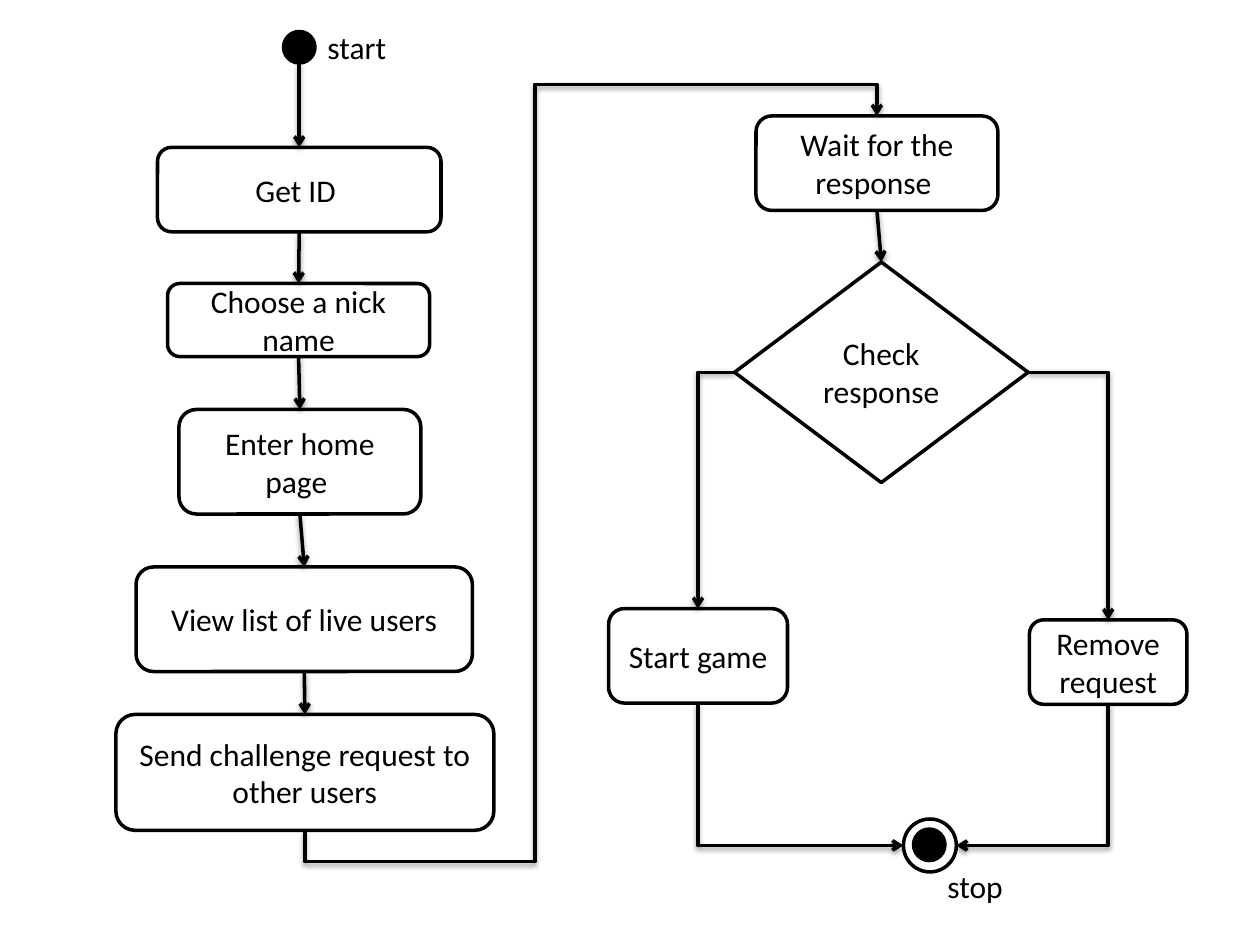
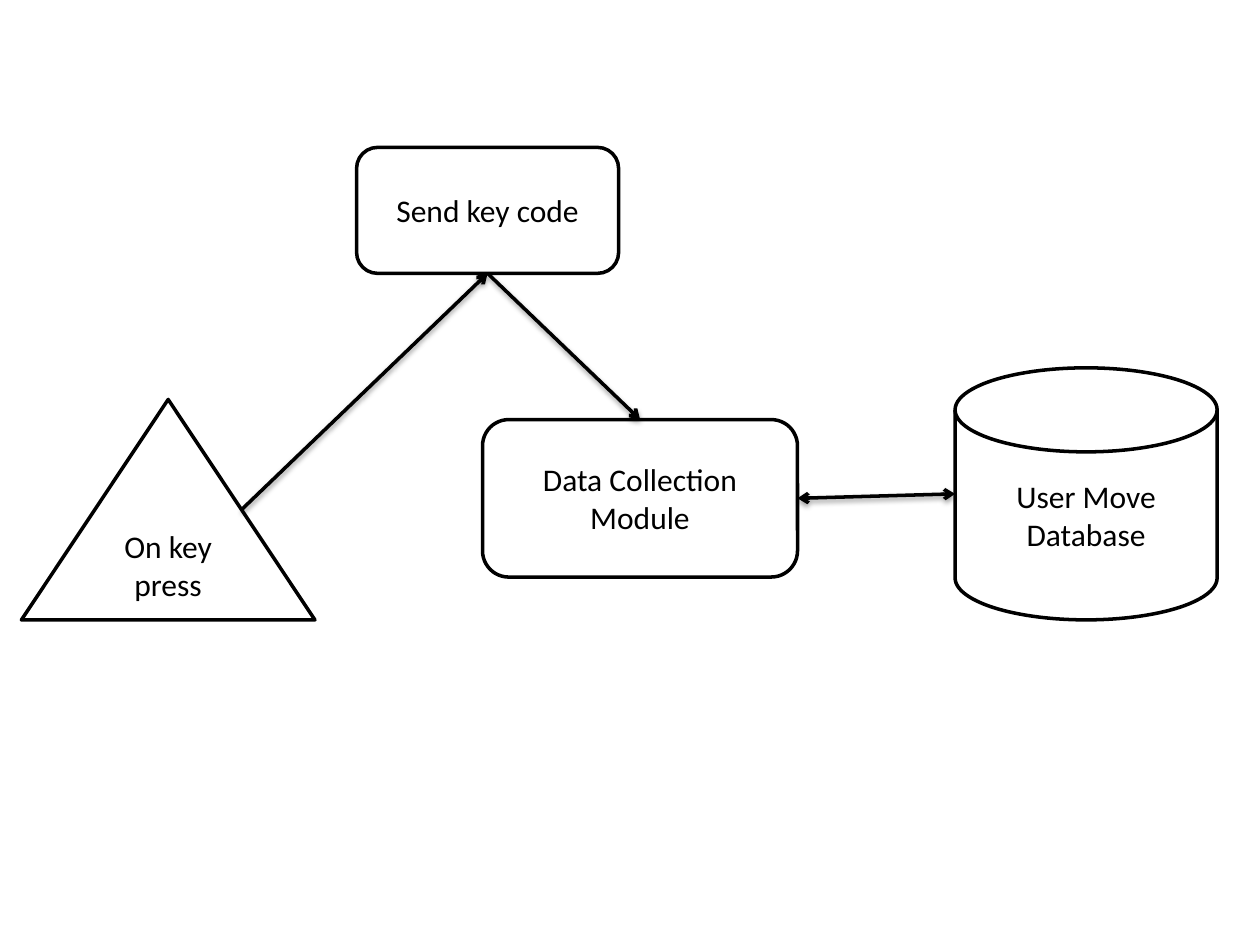
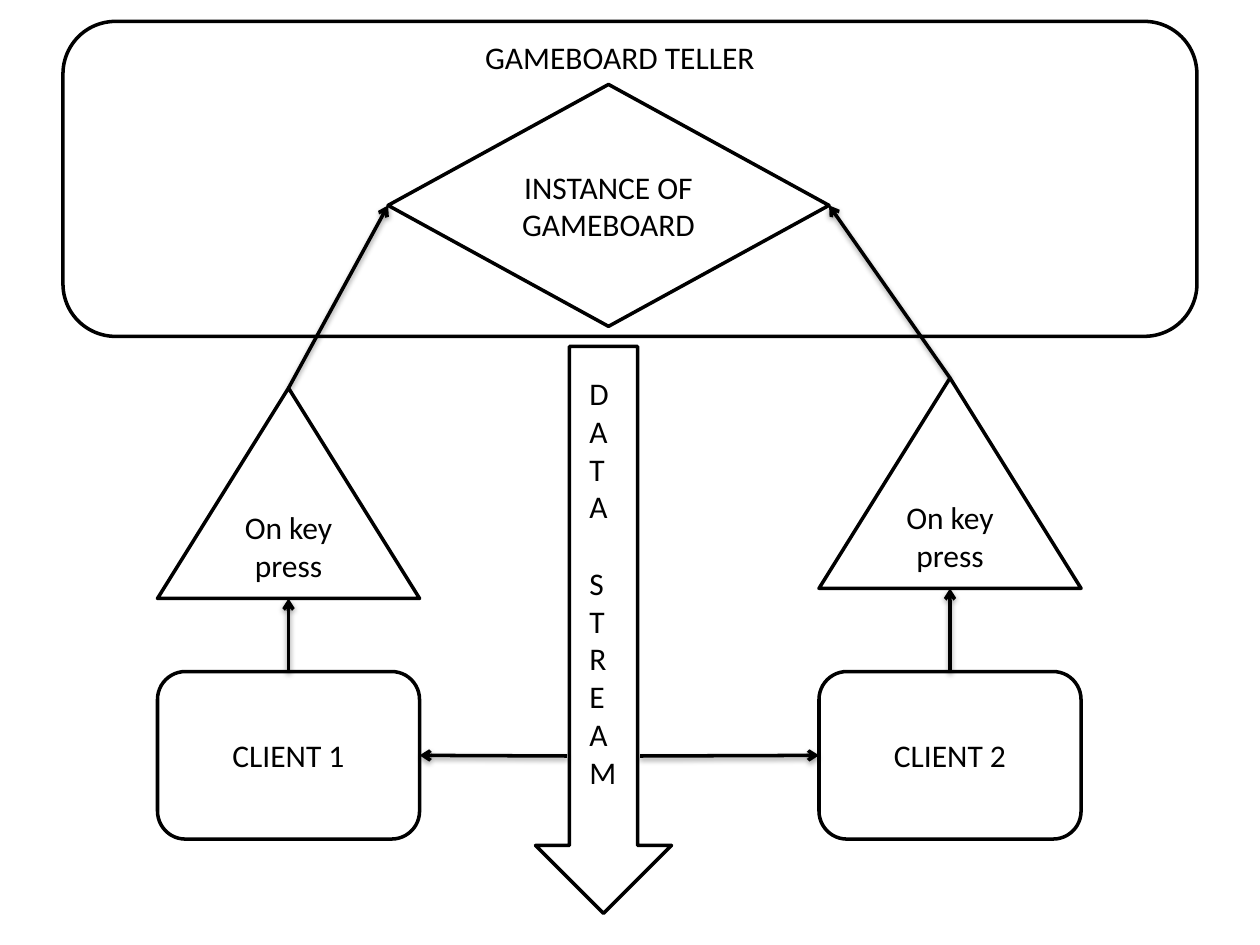
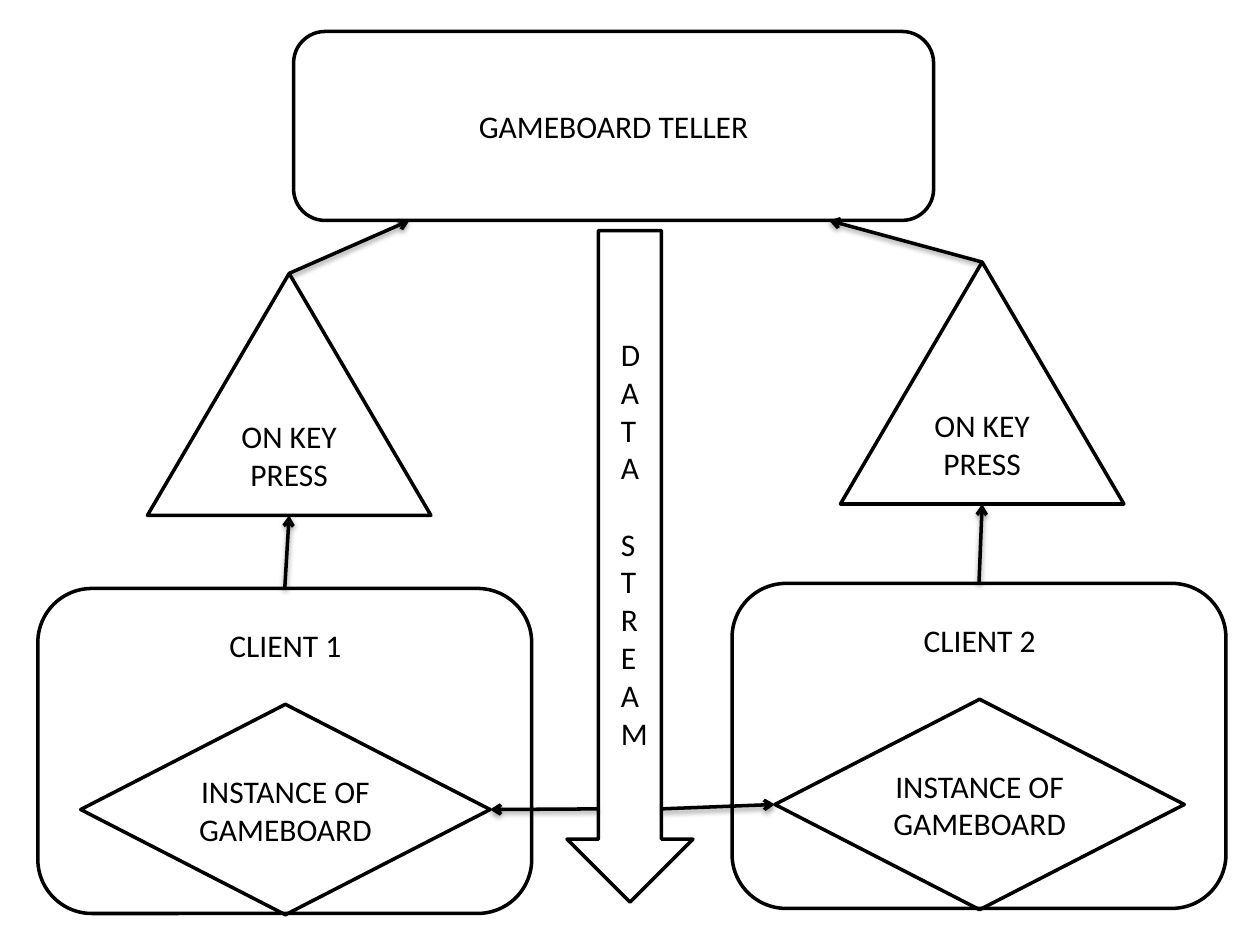
from dataclasses import dataclass
from lxml.etree import SubElement as Sub
from pptx import Presentation
from pptx.dml.color import RGBColor as Rgb
from pptx.enum.shapes import MSO_CONNECTOR as Conn, MSO_SHAPE as Kind
from pptx.enum.text import MSO_ANCHOR as Anchor, MSO_AUTO_SIZE as Fit, PP_ALIGN as Align
from pptx.oxml.ns import qn
from pptx.util import Inches, Pt


@dataclass(frozen=True)
class Theme:
    ink: Rgb = Rgb(0, 0, 0)
    paper: Rgb = Rgb(255, 255, 255)
    font: str = "Calibri"
    size: Pt = Pt(18)
    width: Pt = Pt(2)
    gap: Pt = Pt(22)
    blur: Pt = Pt(3.1)
    drop: Pt = Pt(1.6)
    shade: int = 38000


TOP, LEFT, BOTTOM, RIGHT = (0.5, 0), (0, 0.5), (0.5, 1), (1, 0.5)
SLOPE = (0.75, 0.5)
BOX, TIP, GEM = Kind.ROUNDED_RECTANGLE, Kind.ISOSCELES_TRIANGLE, Kind.DIAMOND


def point(x, y):
    return Inches(x), Inches(y)


def spot(shape, side):
    x, y = side
    return int(shape.left + x * shape.width), int(shape.top + y * shape.height)


def write(frame, lines, theme, align=Align.CENTER, anchor=Anchor.MIDDLE, fit=Fit.NONE, gaps=()):
    frame.word_wrap = True
    frame.auto_size = fit
    frame.vertical_anchor = anchor
    for i, line in enumerate(lines):
        para = frame.add_paragraph() if i else frame.paragraphs[0]
        para.alignment = align
        if i in gaps:
            para.space_before = theme.gap
        run = para.add_run()
        run.text = line
        run.font.name = theme.font
        run.font.size = theme.size
        run.font.color.rgb = theme.ink


class Deck:
    def __init__(self, theme):
        self.theme = theme
        self.prs = Presentation()
        self.prs.slide_width, self.prs.slide_height = point(10, 7.5)

    def page(self):
        self.slide = self.prs.slides.add_slide(self.prs.slide_layouts[6])
        back = self.slide.background.fill
        back.solid()
        back.fore_color.rgb = self.theme.paper

    def stroke(self, line):
        line.color.rgb = self.theme.ink
        line.width = self.theme.width

    def shape(self, kind, x, y, w, h, text="", solid=False):
        item = self.slide.shapes.add_shape(kind, *point(x, y), *point(w, h))
        item.shadow.inherit = False
        if solid:
            item.fill.solid()
            item.fill.fore_color.rgb = self.theme.ink
        else:
            item.fill.background()
        self.stroke(item.line)
        if text:
            write(item.text_frame, [text], self.theme)
        return item

    def label(self, x, y, w, h, lines, **form):
        item = self.slide.shapes.add_textbox(*point(x, y), *point(w, h))
        write(item.text_frame, lines, self.theme, anchor=Anchor.TOP, fit=Fit.SHAPE_TO_FIT_TEXT, **form)

    def stack(self, x, y, w, h):
        first, last = "DATA STREAM".split()
        self.label(x, y, w, h, first + last, align=Align.LEFT, gaps=[len(first)])

    def finish(self, line, both=False):
        self.stroke(line.line)
        props = line.element.spPr
        edge = props.find(qn("a:ln"))
        for end in ["headEnd", "tailEnd"] if both else ["tailEnd"]:
            Sub(edge, qn(f"a:{end}"), type="arrow")
        cast = Sub(Sub(props, qn("a:effectLst")), qn("a:outerShdw"), blurRad=str(self.theme.blur),
                   dist=str(self.theme.drop), dir="5400000", rotWithShape="0")
        tone = Sub(cast, qn("a:srgbClr"), val=str(self.theme.ink))
        Sub(tone, qn("a:alpha"), val=str(self.theme.shade))

    def link(self, start, end, both=False):
        line = self.slide.shapes.add_connector(Conn.STRAIGHT, *start, *end)
        self.finish(line, both)

    def bend(self, start, end, turn=0, flip="", bends=2, adjust=()):
        (x, y), (u, v) = start, end
        w, h = abs(u - x), abs(v - y)
        if turn % 180:
            w, h = h, w
        left, top = (x + u - w) // 2, (y + v - h) // 2
        line = self.slide.shapes.add_connector(Conn.ELBOW, left, top, left + w, top + h)
        frame = line.element.spPr.find(qn("a:xfrm"))
        frame.set("rot", str(turn * 60000))
        for axis in flip:
            frame.set(f"flip{axis}", "1")
        geom = line.element.spPr.find(qn("a:prstGeom"))
        geom.set("prst", f"bentConnector{bends}")
        for i, part in enumerate(adjust, 1):
            Sub(geom.find(qn("a:avLst")), qn("a:gd"), name=f"adj{i}", fmla=f"val {part}")
        self.finish(line)


def flow(deck):
    deck.page()
    start = deck.shape(Kind.OVAL, 2.25, 0.25, 0.25, 0.25, solid=True)
    deck.label(2.5, 0.17, 1.25, 0.4, ["start"], align=Align.LEFT)
    steps = [start] + [deck.shape(BOX, *step) for step in [
        (1.25, 1.17, 2.25, 0.67, "Get ID "),
        (1.33, 2.25, 2.08, 0.58, "Choose a nick name"),
        (1.42, 3.25, 1.92, 0.83, "Enter home page "),
        (1.08, 4.5, 2.67, 0.83, "View list of live users"),
        (0.92, 5.67, 3, 0.92, "Send challenge request to other users"),
    ]]
    wait = deck.shape(BOX, 6, 0.92, 1.92, 0.75, "Wait for the response ")
    check = deck.shape(GEM, 5.83, 2.08, 2.33, 1.75, "Check response")
    game = deck.shape(BOX, 4.83, 4.83, 1.42, 0.75, "Start game")
    drop = deck.shape(BOX, 8.17, 4.92, 1.25, 0.67, "Remove request")
    stop = deck.shape(Kind.OVAL, 7.17, 6.5, 0.42, 0.42)
    deck.shape(Kind.OVAL, 7.25, 6.58, 0.25, 0.25, solid=True)
    for above, below in zip(steps, steps[1:]):
        deck.link(spot(above, BOTTOM), spot(below, TOP))
    deck.label(7.42, 6.83, 1.08, 0.42, ["stop"], align=Align.LEFT)
    deck.bend(spot(steps[-1], BOTTOM), spot(wait, TOP), 90, "HV", 5, [-4400, 40200, 104400])
    deck.link(spot(wait, BOTTOM), spot(check, TOP))
    deck.bend(spot(check, LEFT), spot(game, TOP), 180, "V")
    deck.bend(spot(check, RIGHT), spot(drop, TOP))
    deck.bend(spot(game, BOTTOM), spot(stop, LEFT), 270, "H")
    deck.bend(spot(drop, BOTTOM), spot(stop, RIGHT), 90)


def moves(deck):
    deck.page()
    press = deck.shape(TIP, 0.17, 3.17, 2.33, 1.75, "On key press")
    send = deck.shape(BOX, 2.83, 1.17, 2.08, 1, "Send key code")
    data = deck.shape(BOX, 3.83, 3.33, 2.5, 1.25, "Data Collection Module")
    store = deck.shape(Kind.FLOWCHART_MAGNETIC_DISK, 7.58, 2.92, 2.08, 2, "User Move Database")
    deck.link(spot(press, SLOPE), spot(send, BOTTOM))
    deck.link(spot(send, BOTTOM), spot(data, TOP))
    deck.link(spot(data, RIGHT), spot(store, LEFT), both=True)


def shared(deck):
    deck.page()
    pairs = []
    for i, (x, y) in enumerate([(1.25, 3.08), (6.5, 3)], 1):
        user = deck.shape(BOX, x, 5.33, 2.08, 1.33, f"CLIENT {i}")
        press = deck.shape(TIP, x, y, 2.08, 1.67, "On key press")
        pairs.append((user, press))
    deck.shape(BOX, 0.5, 0.17, 9, 2.5)
    deck.shape(Kind.DOWN_ARROW, 4.25, 2.75, 1.08, 4.5)
    board = deck.shape(GEM, 3.08, 0.67, 3.5, 1.92, "INSTANCE OF GAMEBOARD")
    deck.label(1.92, 0.25, 6, 0.4, ["GAMEBOARD TELLER"])
    for (user, press), near, far, x in zip(pairs, [LEFT, RIGHT], [RIGHT, LEFT], [4.5, 5.08]):
        deck.link(spot(user, TOP), spot(press, BOTTOM))
        deck.link(spot(press, TOP), spot(board, near))
        deck.link(point(x, 6), spot(user, far))
    deck.stack(4.58, 2.92, 0.42, 3.43)


def split(deck):
    deck.page()
    users = []
    for i, (x, y) in enumerate([(0.3, 4.67), (5.81, 4.63)], 1):
        user = deck.shape(BOX, x, y, 3.92, 2.58)
        board = deck.shape(GEM, x + 0.34, y + 0.92, 3.25, 1.67, "INSTANCE OF GAMEBOARD")
        deck.label(x + 0.34, y + 0.25, 3.25, 0.4, [f"CLIENT {i}"])
        users.append((user, board))
    keys = [deck.shape(TIP, x, y, 2.25, 1.92, "ON KEY PRESS") for x, y in [(1.17, 2.17), (6.67, 2.08)]]
    deck.shape(BOX, 2.33, 0.25, 5.08, 1.5, "GAMEBOARD TELLER")
    deck.shape(Kind.DOWN_ARROW, 4.5, 1.83, 1, 5.33)
    for (user, board), press, far, x, u in zip(users, keys, [RIGHT, LEFT], [4.75, 5.25], [3.25, 6.58]):
        deck.link(point(x, 6.42), spot(board, far))
        deck.link(spot(user, TOP), spot(press, BOTTOM))
        deck.link(spot(press, TOP), point(u, 1.75))
    deck.stack(4.83, 2.61, 0.33, 3.43)


deck = Deck(Theme())
for draw in [flow, moves, shared, split]:
    draw(deck)
deck.prs.save("out.pptx")
